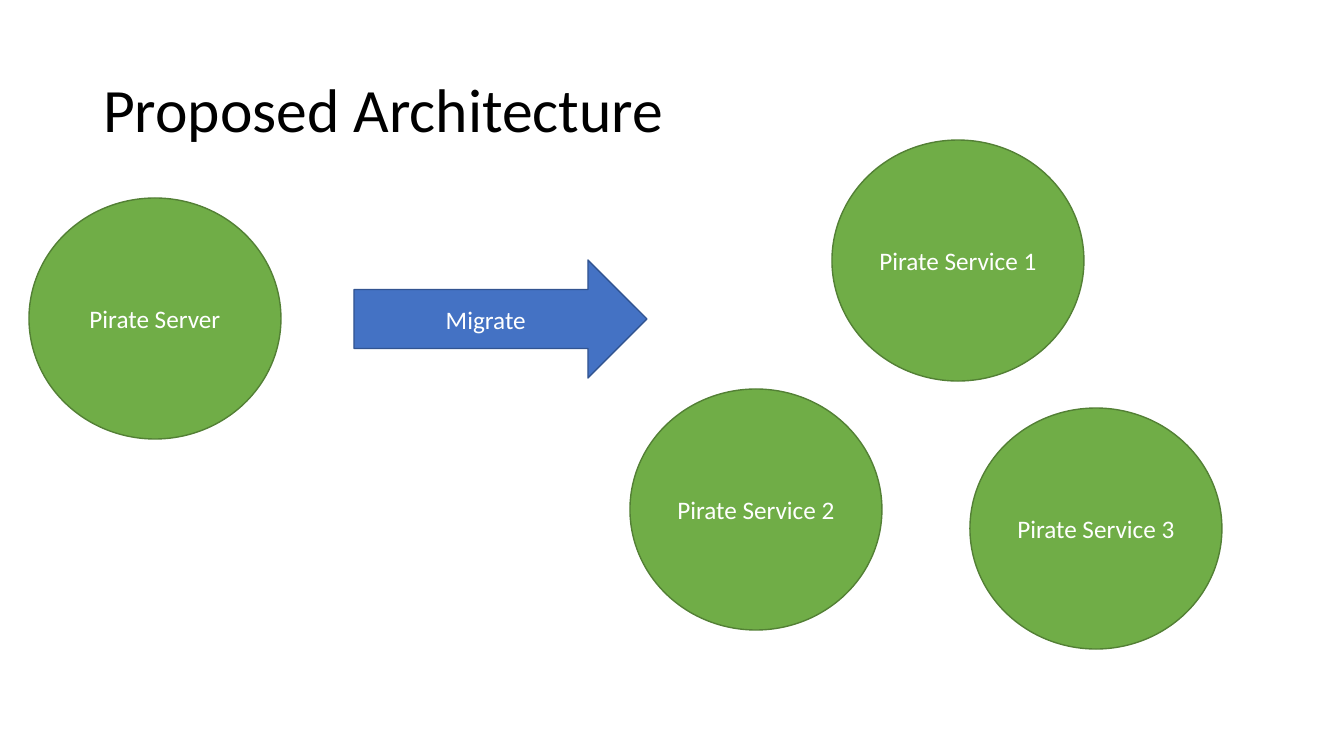
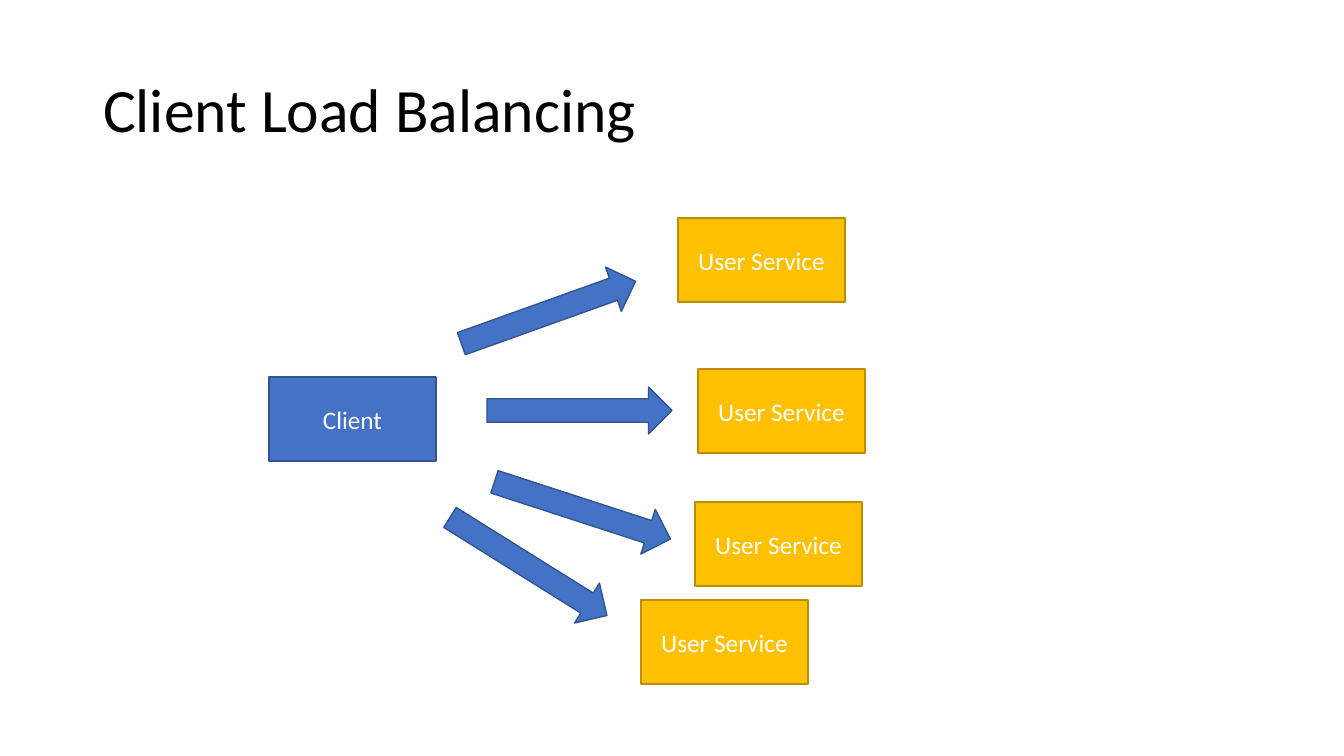
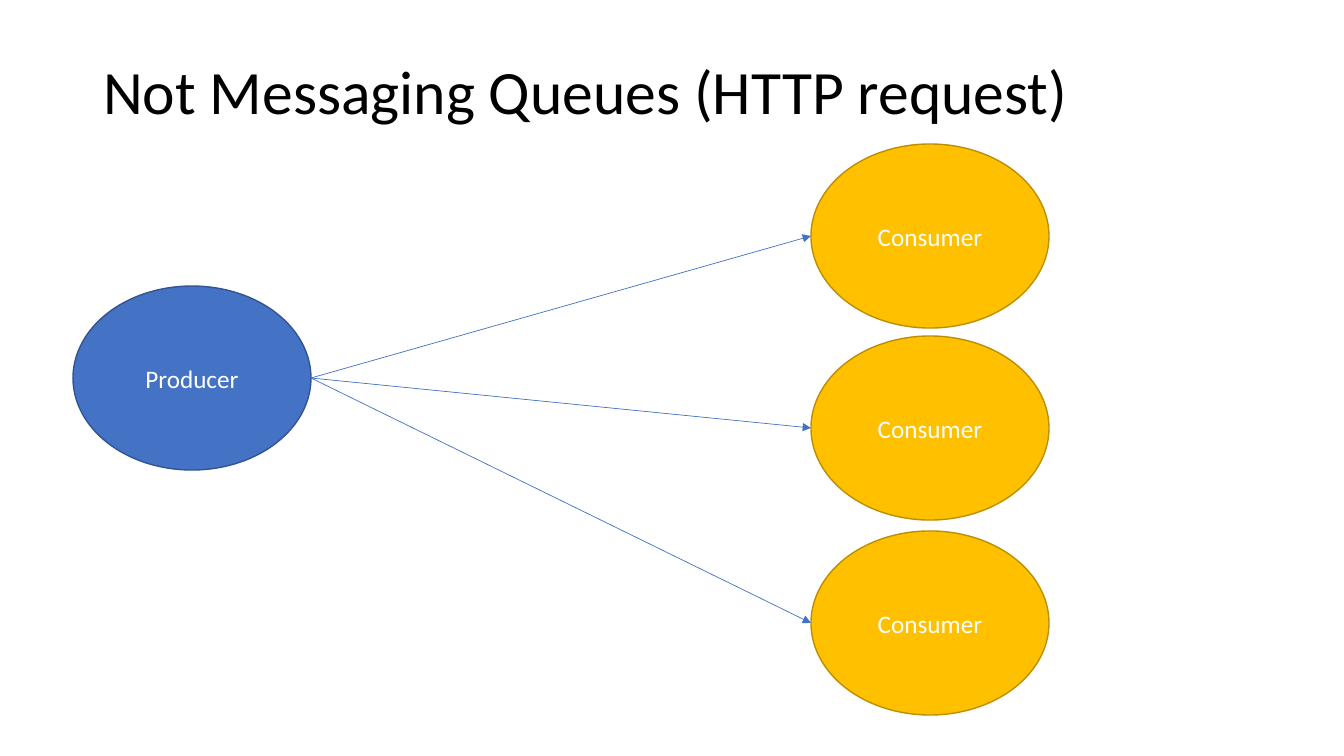
from lxml.etree import SubElement
from pptx import Presentation
from pptx.dml.color import RGBColor
from pptx.enum.shapes import MSO_CONNECTOR, MSO_SHAPE
from pptx.enum.text import MSO_ANCHOR, MSO_AUTO_SIZE, PP_ALIGN
from pptx.oxml.ns import qn
from pptx.util import Emu, Pt

PIXEL = 914400 / 100.8
FONT = "Calibri"
BLACK = RGBColor(0x00, 0x00, 0x00)
WHITE = RGBColor(0xFF, 0xFF, 0xFF)
BLUE = RGBColor(0x44, 0x72, 0xC4)
DARK_BLUE = RGBColor(0x32, 0x54, 0x91)
GREEN = RGBColor(0x70, 0xAD, 0x47)
DARK_GREEN = RGBColor(0x53, 0x80, 0x35)
GOLD = RGBColor(0xFF, 0xC0, 0x00)
DARK_GOLD = RGBColor(0xBD, 0x8E, 0x00)
OUTLINES = {BLUE: DARK_BLUE, GREEN: DARK_GREEN, GOLD: DARK_GOLD}


def px(length):
    return Emu(round(length * PIXEL))


def write_text(shape, text, size=18, color=WHITE, align=PP_ALIGN.CENTER, spacing=1.0):
    frame = shape.text_frame
    frame.word_wrap = True
    frame.auto_size = MSO_AUTO_SIZE.NONE
    frame.vertical_anchor = MSO_ANCHOR.MIDDLE
    paragraph = frame.paragraphs[0]
    paragraph.alignment = align
    paragraph.line_spacing = spacing
    run = paragraph.add_run()
    run.text = text
    run.font.name = FONT
    run.font.size = Pt(size)
    run.font.color.rgb = color


def add_titled_slide(presentation, title, top=40):
    slide = presentation.slides.add_slide(presentation.slide_layouts[5])
    shape = slide.shapes.title
    shape.left, shape.top, shape.width, shape.height = px(93), px(top), px(1159), px(146)
    write_text(shape, title, size=44, color=BLACK, align=PP_ALIGN.LEFT, spacing=0.9)
    return slide


def add_node(slide, kind, position, size, fill, text="", rotation=0):
    shape = slide.shapes.add_shape(kind, *map(px, (*position, *size)))
    shape.shadow.inherit = False
    shape.rotation = rotation
    shape.fill.solid()
    shape.fill.fore_color.rgb = fill
    shape.line.color.rgb = OUTLINES[fill]
    shape.line.width = Pt(1)
    if text:
        write_text(shape, text)
    return shape


def add_link(slide, source, target):
    connector = slide.shapes.add_connector(
        MSO_CONNECTOR.STRAIGHT,
        source.left + source.width, source.top + source.height // 2,
        target.left, target.top + target.height // 2)
    connector.line.color.rgb = BLUE
    connector.line.width = Pt(0.5)
    SubElement(connector.line._get_or_add_ln(), qn("a:tailEnd"), type="triangle")
    SubElement(connector._element.spPr, qn("a:effectLst"))


def build_architecture(presentation):
    slide = add_titled_slide(presentation, "Proposed Architecture")
    circle = (252, 241)
    add_node(slide, MSO_SHAPE.OVAL, (29, 198), circle, GREEN, "Pirate Server")
    add_node(slide, MSO_SHAPE.RIGHT_ARROW, (354, 260), (293, 118), BLUE, "Migrate")
    for number, position in enumerate([(832, 140), (630, 389), (970, 408)], start=1):
        add_node(slide, MSO_SHAPE.OVAL, position, circle, GREEN, f"Pirate Service {number}")


def build_load_balancing(presentation):
    slide = add_titled_slide(presentation, "Client Load Balancing")
    box, arrow = (167, 84), (185, 47)
    add_node(slide, MSO_SHAPE.RECTANGLE, (269, 377), box, BLUE, "Client")
    routes = [
        ((678, 218), (456, 289), 340.3),
        ((698, 369), (487, 387), 0),
        ((695, 502), (490, 487), 18),
        ((641, 600), (436, 543), 32),
    ]
    for service_position, arrow_position, rotation in routes:
        add_node(slide, MSO_SHAPE.RECTANGLE, service_position, box, GOLD, "User Service")
        add_node(slide, MSO_SHAPE.RIGHT_ARROW, arrow_position, arrow, BLUE, rotation=rotation)


def build_http_request(presentation):
    slide = add_titled_slide(presentation, "Not Messaging Queues (HTTP request)", top=22)
    ellipse = (238, 184)
    producer = add_node(slide, MSO_SHAPE.OVAL, (73, 286), ellipse, BLUE, "Producer")
    consumers = [add_node(slide, MSO_SHAPE.OVAL, (811, top), ellipse, GOLD, "Consumer")
                 for top in (144, 336, 531)]
    for consumer in consumers:
        add_link(slide, producer, consumer)


def main():
    presentation = Presentation()
    presentation.slide_width = px(1344)
    presentation.slide_height = px(756)
    build_architecture(presentation)
    build_load_balancing(presentation)
    build_http_request(presentation)
    presentation.save("out.pptx")


main()
